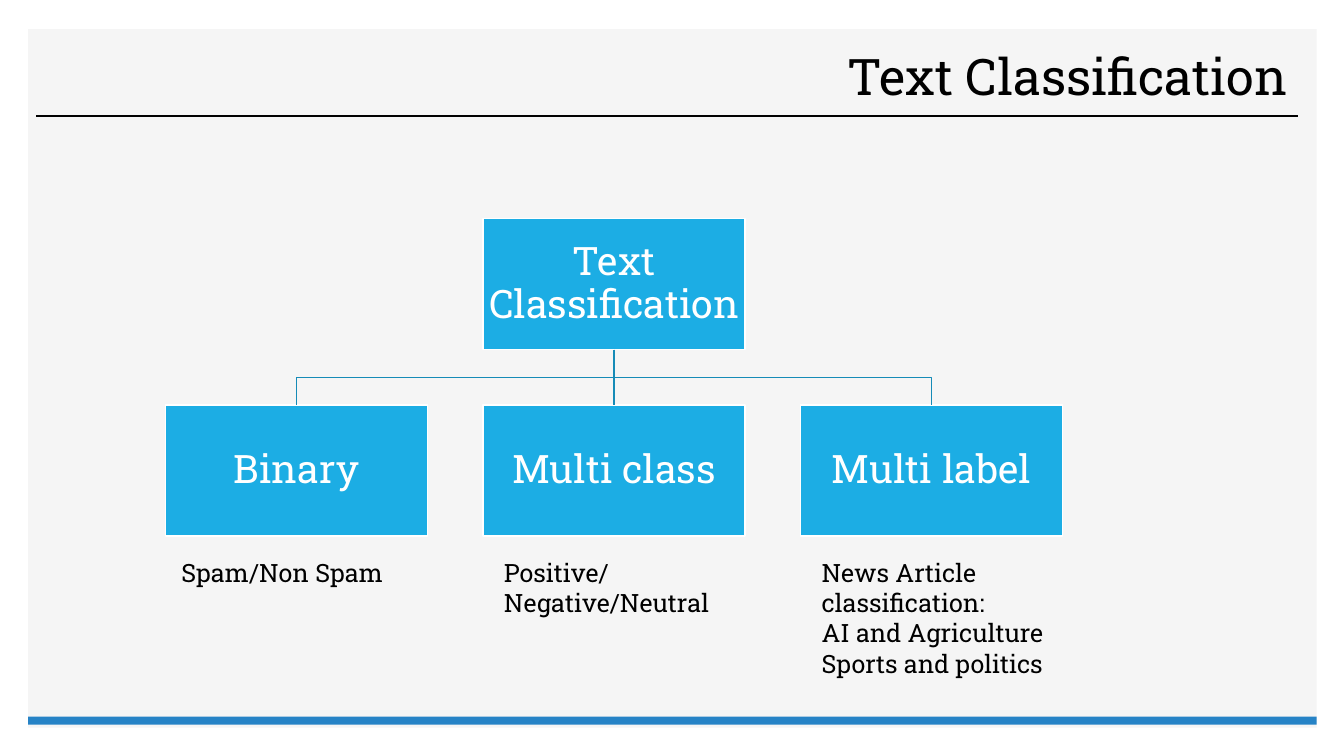
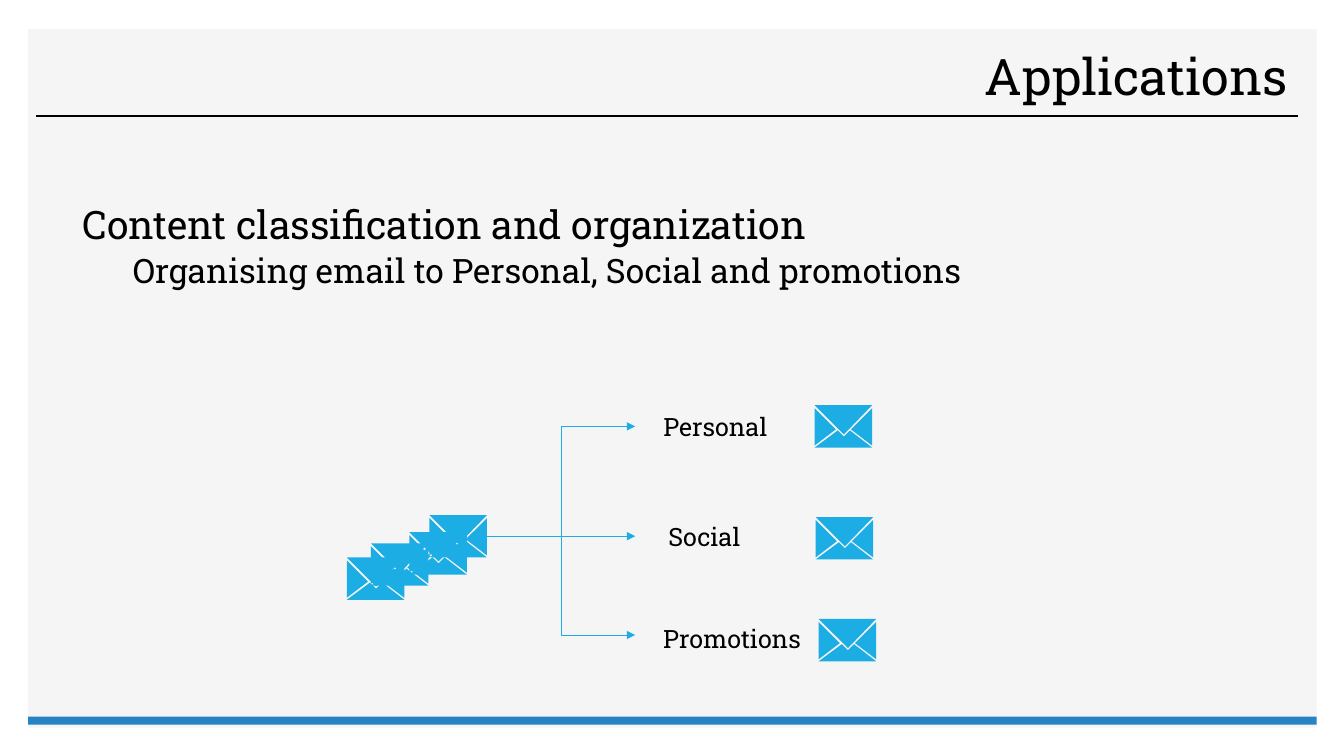
import dataclasses

import lxml.etree
import pptx
import pptx.dml.color
import pptx.enum.shapes
import pptx.enum.text
import pptx.oxml
import pptx.oxml.ns
import pptx.util

Inches = pptx.util.Inches
ALIGN = pptx.enum.text.PP_ALIGN
ANCHOR = pptx.enum.text.MSO_ANCHOR
CONNECTOR = pptx.enum.shapes.MSO_CONNECTOR
BLANK = 6


@dataclasses.dataclass(frozen=True)
class Theme:
    font: str = "Roboto Slab"
    panel: str = "F5F5F5"
    band: str = "2683C6"
    accent: str = "1CADE4"
    branch: str = "168BB7"
    ink: str = "000000"
    paper: str = "FFFFFF"
    title: int = 36
    heading: int = 28
    subheading: int = 24
    label: int = 18


THEME = Theme()

# Contours of one envelope, in hundredths of an inch
ENVELOPE = (
    ((35, 25), (57, 42), (0, 42), (23, 25), (29, 31)),
    ((57, 3), (57, 40), (36, 24)),
    ((0, 3), (21, 24), (0, 40)),
    ((0, 0), (57, 0), (29, 29)),
)


def rgb(color):
    return pptx.dml.color.RGBColor.from_string(color)


def paint(sp, fill=None, line=None, width=1):
    sp.shadow.inherit = False
    if fill:
        sp.fill.solid()
        sp.fill.fore_color.rgb = rgb(fill)
    else:
        sp.fill.background()
    if line:
        sp.line.color.rgb = rgb(line)
        sp.line.width = pptx.util.Pt(width)
    else:
        sp.line.fill.background()


def add_rect(s, box, fill, line=None):
    sp = s.shapes.add_shape(pptx.enum.shapes.MSO_SHAPE.RECTANGLE, *map(Inches, box))
    paint(sp, fill, line)
    return sp


def write(tf, lines, size, color=THEME.ink, anchor=ANCHOR.TOP, inset=None, **paragraph):
    """Fill a text frame; the keyword rest sets paragraph attributes."""
    tf.word_wrap = True
    tf.vertical_anchor = anchor
    if inset is not None:
        for side in ("left", "top", "right", "bottom"):
            setattr(tf, f"margin_{side}", Inches(inset))
    for i, line in enumerate(lines):
        p = tf.add_paragraph() if i else tf.paragraphs[0]
        for name, value in paragraph.items():
            setattr(p, name, value)
        add_run(p, line, size, color)


def add_run(p, text, size, color=THEME.ink):
    r = p.add_run()
    r.text = text
    r.font.color.rgb = rgb(color)
    for name, value in {"name": THEME.font, "size": pptx.util.Pt(size)}.items():
        setattr(r.font, name, value)


def add_text(s, box, lines, size, **style):
    tf = s.shapes.add_textbox(*map(Inches, box)).text_frame
    write(tf, lines, size, **style)
    return tf


def add_line(s, start, end, color, width=1, kind=CONNECTOR.STRAIGHT, arrow=False):
    line = s.shapes.add_connector(kind, *map(Inches, (*start, *end)))
    line.line.color.rgb = rgb(color)
    line.line.width = pptx.util.Pt(width)
    if arrow:
        tail = lxml.etree.SubElement(line.line._get_or_add_ln(), pptx.oxml.ns.qn("a:tailEnd"))
        tail.set("type", "triangle")
    lxml.etree.SubElement(line._element.spPr, pptx.oxml.ns.qn("a:effectLst"))
    return line


def add_framed_slide(prs, title):
    """Add a slide with the panel, title, rule and bottom band."""
    s = prs.slides.add_slide(prs.slide_layouts[BLANK])
    left, width = 0.28, 12.78
    add_rect(s, (left, 0.29, width, 6.93), THEME.panel)
    add_line(s, (0.36, 1.15), (12.87, 1.15), THEME.ink)
    add_rect(s, (left, 7.11, width, 0.08), THEME.band)
    add_text(s, (3.7, 0.42, 9.17, 0.73), [title], THEME.title, anchor=ANCHOR.MIDDLE,
             alignment=ALIGN.RIGHT, line_spacing=0.9)
    return s


def add_node(s, box, text):
    sp = add_rect(s, box, THEME.accent, THEME.paper)
    write(sp.text_frame, [text], THEME.heading, THEME.paper, ANCHOR.MIDDLE, 0.02,
          alignment=ALIGN.CENTER, line_spacing=0.9)
    return sp


def add_branch(s, start, end):
    """Draw a right-angled branch that turns halfway down."""
    (x1, y1), (x2, y2) = start, end
    middle = (y1 + y2) / 2
    builder = s.shapes.build_freeform(Inches(x1), Inches(y1))
    corners = [(x1, middle), (x2, middle), (x2, y2)]
    builder.add_line_segments([(Inches(x), Inches(y)) for x, y in corners], close=False)
    paint(builder.convert_to_shape(), line=THEME.branch)


def add_tree(s, x, y, root_text, children):
    """Centre a root over a row of children, each with notes below."""
    width, height, pitch, drop = 2.6, 1.3, 3.15, 1.85
    middle = len(children) // 2
    root_x = x + middle * pitch
    root = add_node(s, (root_x, y, width, height), root_text)
    start = (root_x + width / 2, y + height)
    for i, (text, indent, notes) in enumerate(children):
        left = x + i * pitch
        child = add_node(s, (left, y + drop, width, height), text)
        end = (left + width / 2, y + drop)
        if i == middle:
            line = add_line(s, start, end, THEME.branch)
            line.begin_connect(root, 2)
            line.end_connect(child, 0)
        else:
            add_branch(s, start, end)
        add_text(s, (left + indent, y + 3.31, 2.48, 0.4), notes, THEME.label)


def add_envelope(s, x, y):
    builder = s.shapes.build_freeform(*ENVELOPE[0][0], scale=Inches(0.01))
    for i, (first, *rest) in enumerate(ENVELOPE):
        if i:
            builder.move_to(*first)
        builder.add_line_segments(rest, close=True)
    paint(builder.convert_to_shape(Inches(x), Inches(y)), THEME.accent)


def add_body(s, box, heading, detail):
    tf = add_text(s, box, [heading], THEME.heading, space_before=pptx.util.Pt(10))
    p = tf.add_paragraph()
    settings = {"level": 1, "line_spacing": 0.9, "space_before": pptx.util.Pt(5)}
    for name, value in settings.items():
        setattr(p, name, value)
    pPr = p._p.get_or_add_pPr()
    pPr.set("marL", str(Inches(0.5)))
    pPr.set("indent", "0")
    add_run(p, detail, THEME.subheading)


def add_mail_sorting(s, x, y):
    """Sort a pile of mail into folders, from the top left of the diagram."""
    pile = [(0.82, 1.09), (0.24, 1.37), (0.62, 1.26), (0, 1.51)]
    folders = [
        ("Personal", 0.21, (3.04, 0.01, 1.31), (4.64, 0)),
        ("Social", 1.3, (3.09, 1.1, 0.93), (4.65, 1.11)),
        ("Promotions", 2.28, (3.04, 2.11, 1.6), (4.68, 2.12)),
    ]
    start = (x + 1.39, y + 1.3)
    for dx, dy in pile:
        add_envelope(s, x + dx, y + dy)
    for name, arrow_y, (text_x, text_y, width), (mail_x, mail_y) in folders:
        end = (x + 2.86, y + arrow_y)
        kind = CONNECTOR.STRAIGHT if end[1] == start[1] else CONNECTOR.ELBOW
        add_line(s, start, end, THEME.accent, 0.5, kind, arrow=True)
        add_text(s, (x + text_x, y + text_y, width, 0.4), [name], THEME.label)
        add_envelope(s, x + mail_x, y + mail_y)


def build_classification(prs):
    s = add_framed_slide(prs, "Text Classification")
    add_tree(s, 1.64, 2.17, "Text Classification", [
        ("Binary", 0.06, ["Spam/Non Spam"]),
        ("Multi class", 0.11, ["Positive/Negative/Neutral"]),
        ("Multi label", 0.11, ["News Article classification:", "AI and Agriculture",
                               "Sports and politics"]),
    ])


def build_applications(prs):
    s = add_framed_slide(prs, "Applications")
    add_body(s, (0.72, 1.94, 12.15, 4.76), "Content classification and organization",
             "Organising email to Personal, Social and promotions")
    add_mail_sorting(s, 3.44, 4.02)


def main():
    prs = pptx.Presentation()
    prs.slide_width, prs.slide_height = Inches(13.33), Inches(7.5)
    build_classification(prs)
    build_applications(prs)
    prs.save("out.pptx")


if __name__ == "__main__":
    main()
